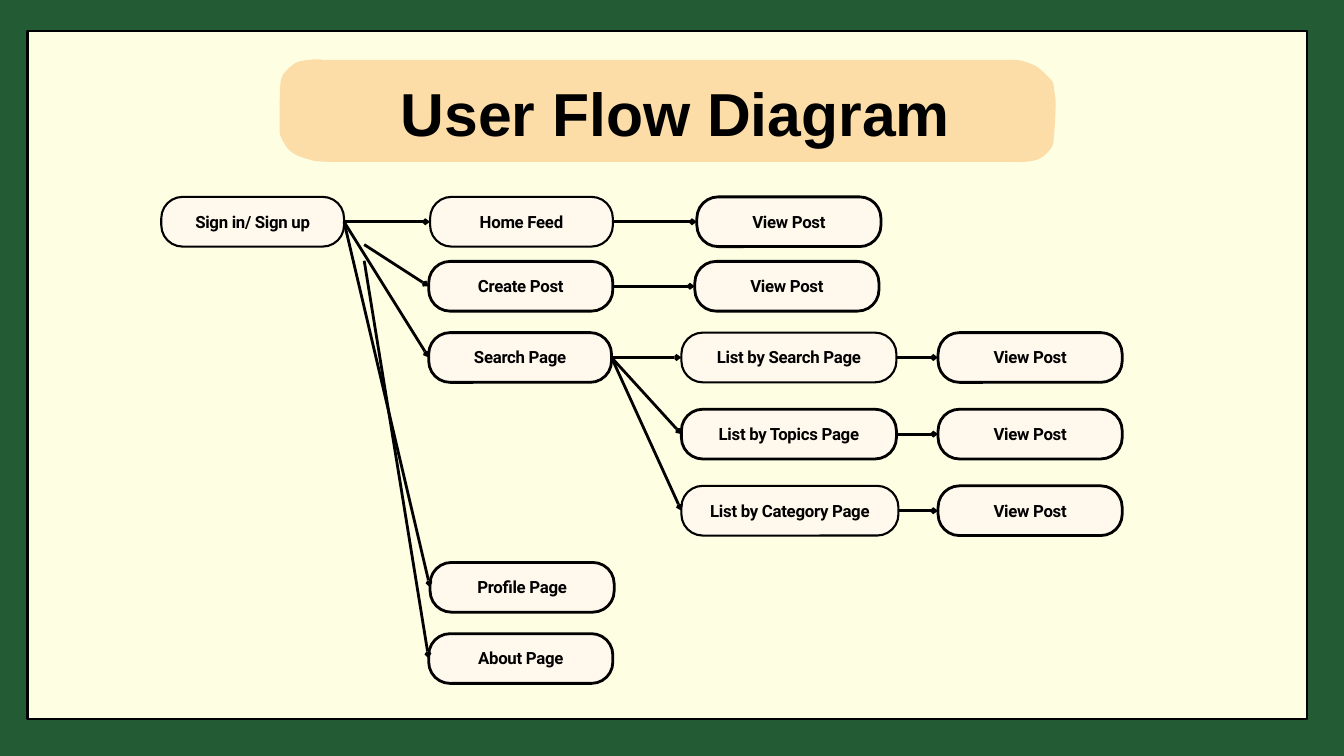
from lxml import etree
from pptx import Presentation
from pptx.dml.color import RGBColor
from pptx.enum.shapes import MSO_CONNECTOR, MSO_SHAPE
from pptx.enum.text import MSO_ANCHOR, MSO_AUTO_SIZE, PP_ALIGN
from pptx.oxml.ns import qn
from pptx.util import Inches, Pt

STRAIGHT = MSO_CONNECTOR.STRAIGHT
RECTANGLE, PILL = MSO_SHAPE.RECTANGLE, MSO_SHAPE.ROUNDED_RECTANGLE
TOP, MIDDLE = MSO_ANCHOR.TOP, MSO_ANCHOR.MIDDLE
NO_AUTOFIT = MSO_AUTO_SIZE.NONE
CENTER = PP_ALIGN.CENTER
LEFT_SIDE, RIGHT_SIDE = 1, 3

COLUMNS, ROWS = 20, 11.25  # grid of one-inch cells
COLORS = {"border": "235B35", "panel": "FEFEE3", "banner": "FDDDA7",
          "step": "FFF8ED", "ink": "000000"}


def color(name):
    return RGBColor.from_string(COLORS[name])


class FlowPage:
    title_font, step_font = "Arial", "Roboto"
    step_height = 0.74
    thin, thick = 2.25, 3

    def __init__(self, deck):
        self.page = deck.slides.add_slide(deck.slide_layouts[5])
        self.column = deck.slide_width / COLUMNS
        self.row = deck.slide_height / ROWS
        fill = self.page.background.fill
        fill.solid()
        fill.fore_color.rgb = color("border")

    def place(self, x, y):
        return round(x * self.column), round(y * self.row)

    def paint(self, shape, fill, weight=None):
        shape.shadow.inherit = False
        shape.fill.solid()
        shape.fill.fore_color.rgb = color(fill)
        if weight:
            shape.line.color.rgb = color("ink")
            shape.line.width = Pt(weight)
        else:
            shape.line.fill.background()

    def label(self, shape, text, font, size, leading, anchor, insets):
        frame = shape.text_frame
        frame.text = text
        frame.word_wrap = True
        frame.auto_size = NO_AUTOFIT
        frame.vertical_anchor = anchor
        (frame.margin_left, frame.margin_top,
         frame.margin_right, frame.margin_bottom) = map(Inches, insets)
        para = frame.paragraphs[0]
        para.alignment = CENTER
        para.line_spacing = Pt(leading)
        span = para.runs[0]
        span.font.name = font
        span.font.size = Pt(size)
        span.font.bold = True
        span.font.color.rgb = color("ink")
        return span

    def panel(self, x, y, width, height):
        box = self.page.shapes.add_shape(
            RECTANGLE, *self.place(x, y), *self.place(width, height))
        self.paint(box, "panel", self.thin)

    def banner(self, start, curves, steps=8):
        """Draws a closed outline of cubic curves as a fine polygon."""
        points, last = [], start
        for curve in curves:
            anchors = (last, *curve)
            for step in range(1, steps + 1):
                t = step / steps
                weights = ((1 - t) ** 3, 3 * t * (1 - t) ** 2,
                           3 * t ** 2 * (1 - t), t ** 3)
                points.append(self.place(
                    *(sum(w * p[axis] for w, p in zip(weights, anchors))
                      for axis in (0, 1))))
            last = curve[-1]
        builder = self.page.shapes.build_freeform(*self.place(*start))
        builder.add_line_segments(points, close=True)
        self.paint(builder.convert_to_shape(), "banner")

    def title(self, text, x, y, width, height):
        box = self.page.shapes.title
        box.left, box.top = self.place(x, y)
        box.width, box.height = self.place(width, height)
        self.label(box, text, self.title_font, 65, 56.5, TOP, (0, 0, 0, 0))
        # Bring the title in front of the panel and banner
        box.element.getparent().append(box.element)

    def step(self, text, x, middle, width, weight):
        box = self.page.shapes.add_shape(
            PILL, *self.place(x, middle - self.step_height / 2),
            *self.place(width, self.step_height))
        box.adjustments[0] = 0.43
        self.paint(box, "step", weight)
        span = self.label(box, text, self.step_font, 18, 25.2, MIDDLE,
                          (0.02, 0.02, 0.02, 0.08))
        span.font._element.set("spc", "-30")
        return box

    def arrow(self, target, source=None, start=(0, 0)):
        begin = self.place(*start)
        link = self.page.shapes.add_connector(
            STRAIGHT, *begin, target.left, target.top + target.height // 2)
        if source is not None:
            link.begin_connect(source, RIGHT_SIDE)
        link.end_connect(target, LEFT_SIDE)
        link.line.color.rgb = color("ink")
        link.line.width = Pt(self.thick)
        etree.SubElement(link.line._get_or_add_ln(), qn("a:tailEnd"),
                         type="arrow", w="sm", len="sm")
        etree.SubElement(link.element.spPr, qn("a:effectLst"))


# Middle of each row of steps
HOME, CREATE, SEARCH, TOPICS, CATEGORY, PROFILE, ABOUT = (
    3.3, 4.26, 5.32, 6.46, 7.6, 8.74, 9.8)
THIN, THICK = FlowPage.thin, FlowPage.thick

# Name: text, left, row, width, outline
STEPS = {
    "sign in": ("Sign in/ Sign up", 2.4, HOME, 2.72, THIN),
    "home": ("Home Feed", 6.4, HOME, 2.72, THIN),
    "create": ("Create Post", 6.38, CREATE, 2.74, THICK),
    "search": ("Search Page", 6.38, SEARCH, 2.72, THICK),
    "profile": ("Profile Page", 6.4, PROFILE, 2.74, THICK),
    "about": ("About Page", 6.38, ABOUT, 2.74, THICK),
    "by search": ("List by Search Page", 10.14, SEARCH, 3.2, THIN),
    "by topics": ("List by Topics Page", 10.14, TOPICS, 3.2, THICK),
    "by category": ("List by Category Page", 10.14, CATEGORY, 3.23, THIN),
}
# Step that leads to a post: left of the post
POSTS = {"home": 10.37, "create": 10.34, "by search": 13.96,
         "by topics": 13.96, "by category": 13.96}
BRANCHES = {"sign in": ("home", "search", "profile"),
            "search": ("by search", "by topics", "by category")}
LOOSE_STARTS = {"create": (5.42, 3.64), "about": (5.42, 3.88)}

BANNER_START = (15.68, 1.28)
BANNER_CURVES = [
    ((15.68, 1.25), (15.67, 1.22), (15.65, 1.2)),
    ((15.59, 1.13), (15.46, 1), (15.39, 0.97)),
    ((15.25, 0.91), (15.16, 0.89), (15.1, 0.89)),
    ((12, 0.89), (8, 0.89), (4.79, 0.89)),
    ((4.77, 0.88), (4.67, 0.88), (4.52, 0.9)),
    ((4.37, 0.92), (4.3, 1.01), (4.22, 1.1)),
    ((4.22, 1.1), (4.17, 1.16), (4.17, 1.3)),
    ((4.16, 1.39), (4.16, 1.79), (4.16, 1.94)),
    ((4.16, 2.01), (4.19, 2.07), (4.23, 2.13)),
    ((4.27, 2.22), (4.35, 2.28), (4.44, 2.32)),
    ((4.49, 2.34), (4.54, 2.36), (4.59, 2.37)),
    ((4.67, 2.4), (4.75, 2.41), (5.08, 2.41)),
    ((8, 2.41), (12, 2.41), (15.06, 2.41)),
    ((15.09, 2.41), (15.18, 2.42), (15.33, 2.4)),
    ((15.48, 2.38), (15.55, 2.32), (15.63, 2.22)),
    ((15.66, 2.18), (15.68, 2.13), (15.68, 2.08)),
    ((15.69, 1.96), (15.71, 1.71), (15.71, 1.5)),
]


def main():
    deck = Presentation()
    deck.slide_width, deck.slide_height = Inches(COLUMNS), Inches(ROWS)
    flow = FlowPage(deck)

    # Panel and heading
    flow.panel(0.41, 0.46, 19.04, 10.24)
    flow.banner(BANNER_START, BANNER_CURVES)
    flow.title("User Flow Diagram", 5.53, 1.42, 9.05, 0.85)

    # Steps and the branches between them
    boxes = {name: flow.step(*details) for name, details in STEPS.items()}
    for source, targets in BRANCHES.items():
        for target in targets:
            flow.arrow(boxes[target], boxes[source])
    for target, start in LOOSE_STARTS.items():
        flow.arrow(boxes[target], start=start)

    # Posts at the end of each path
    for source, left in POSTS.items():
        post = flow.step("View Post", left, STEPS[source][2], 2.74, THICK)
        flow.arrow(post, boxes[source])

    deck.save("out.pptx")


if __name__ == "__main__":
    main()
